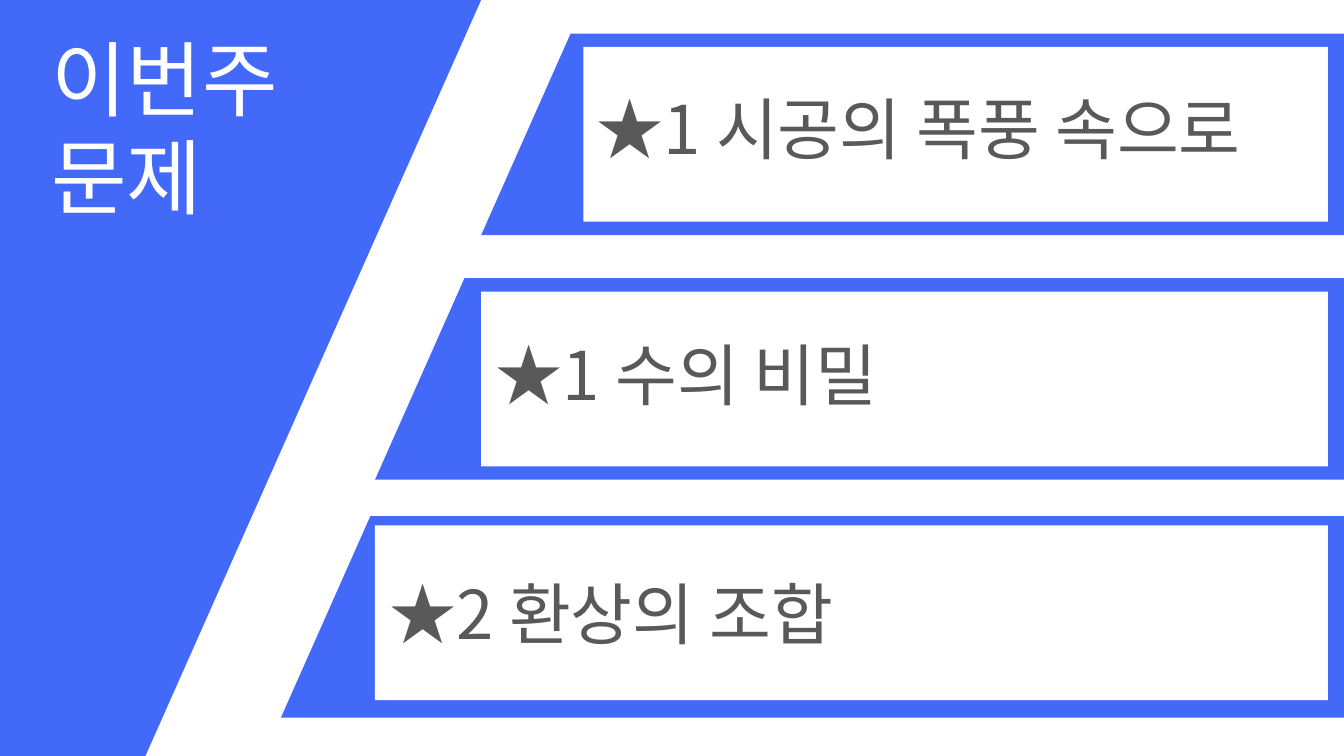
from dataclasses import dataclass

from pptx import Presentation
from pptx import util as u
from pptx.dml.color import RGBColor
from pptx.enum import shapes, text

SCALE = 9144


def px(n):
    return u.Emu(n * SCALE)


@dataclass(frozen=True)
class Theme:
    font: str = "Noto Sans CJK KR"
    blue: str = "4269F8"
    white: str = "FFFFFF"
    grey: str = "595959"
    title_size: int = 44
    item_size: int = 36
    slant: float = 0.444


def add_run(p, content, *, font, size, color):
    r = p.add_run()
    r.text = content
    r.font.size = u.Pt(size)
    r.font.name = font
    r.font.color.rgb = RGBColor.from_string(color)


class Deck:
    def __init__(self, prs, theme):
        self.theme = theme
        self.s = prs.slides.add_slide(prs.slide_layouts[5])

    def frame(self, sp, wrap):
        tf = sp.text_frame
        tf.word_wrap = wrap
        tf.auto_size = text.MSO_AUTO_SIZE.SHAPE_TO_FIT_TEXT
        tf.vertical_anchor = text.MSO_ANCHOR.TOP
        return tf

    def block(self, kind, color, *box):
        sp = self.s.shapes.add_shape(kind, *map(px, box))
        sp.shadow.inherit = False
        sp.fill.solid()
        sp.fill.fore_color.rgb = RGBColor.from_string(color)
        sp.line.fill.background()
        return sp

    def slanted(self, *box):
        sp = self.block(shapes.MSO_SHAPE.PARALLELOGRAM, self.theme.blue, *box)
        sp.adjustments[0] = self.theme.slant

    def panel(self, *box):
        self.block(shapes.MSO_SHAPE.RECTANGLE, self.theme.white, *box)

    def title(self, lines, *box):
        t = self.theme
        sp = self.s.shapes.title
        sp.left, sp.top, sp.width, sp.height = map(px, box)
        self.s.shapes.element.append(sp.element)
        tf = self.frame(sp, wrap=False)
        for i, line in enumerate(lines):
            p = tf.add_paragraph() if i else tf.paragraphs[0]
            p.alignment = text.PP_ALIGN.LEFT
            add_run(p, line, font=t.font, size=t.title_size, color=t.white)

    def item(self, content, *box):
        t = self.theme
        sp = self.s.shapes.add_textbox(*map(px, box))
        p = self.frame(sp, wrap=True).paragraphs[0]
        add_run(p, content, font=t.font, size=t.item_size, color=t.grey)


def main():
    prs = Presentation()
    prs.slide_width = px(1000)
    prs.slide_height = prs.slide_width * 9 // 16
    deck = Deck(prs, Theme())

    deck.slanted(-280, 0, 638, 603)
    deck.title(["이번주", "문제"], 28, 16, 205, 158)

    panel_right = 988
    problems = [
        ("★1 시공의 폭풍 속으로", (358, 25, 882), (434, 35), (434, 60)),
        ("★1 수의 비밀", (279, 207, 788), (358, 217), (359, 243)),
        ("★2 환상의 조합", (209, 384, 882), (279, 391), (280, 421)),
    ]
    for content, band, (left, top), label in problems:
        deck.slanted(*band, 150)
        deck.panel(left, top, panel_right - left, 130)
        deck.item(content, *label, 677, 71)

    prs.save("out.pptx")


if __name__ == "__main__":
    main()
